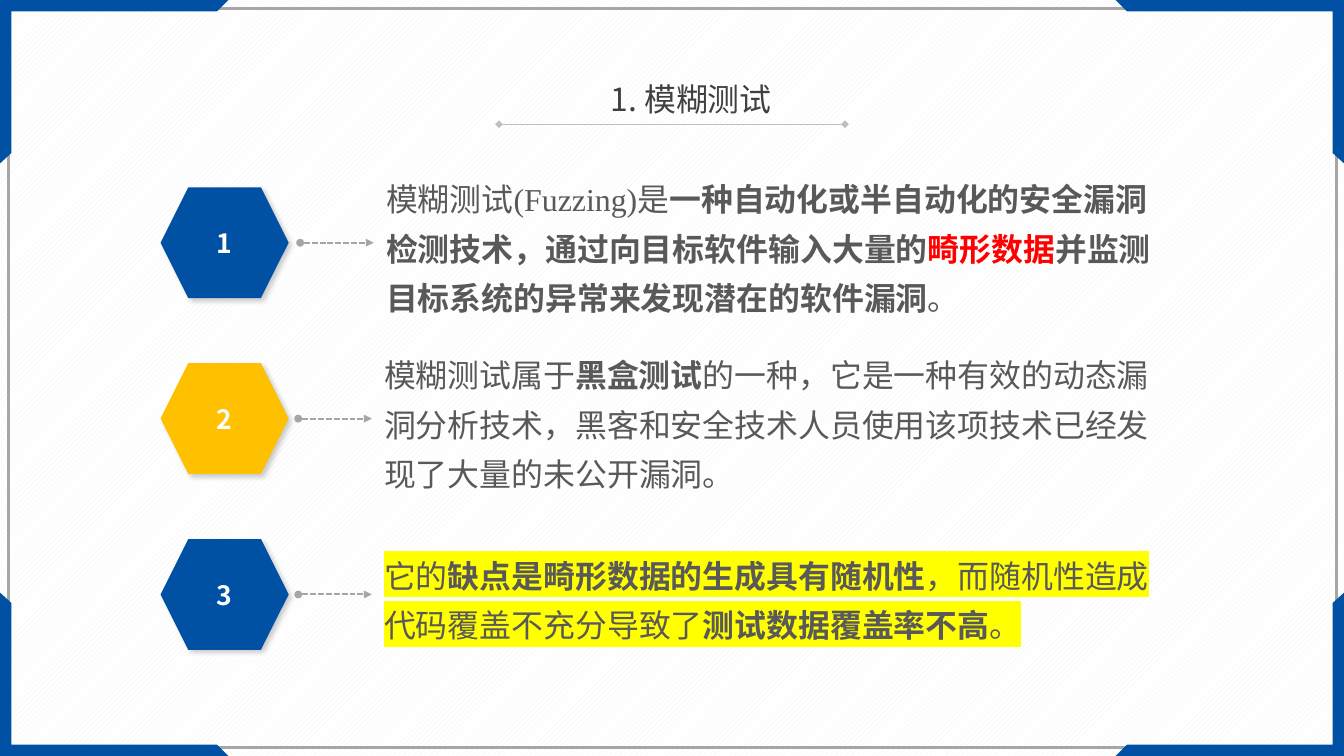
from lxml import etree
from pptx import Presentation
from pptx.dml.color import RGBColor
from pptx.enum.dml import MSO_LINE, MSO_PATTERN
from pptx.enum.shapes import MSO_CONNECTOR, MSO_SHAPE
from pptx.enum.text import MSO_ANCHOR, MSO_AUTO_SIZE, PP_ALIGN
from pptx.oxml import parse_xml
from pptx.oxml.ns import nsdecls, qn
from pptx.util import Inches, Pt

WIDTH, HEIGHT = 14.06, 7.91
SANS, SERIF = "Noto Sans CJK SC", "Times New Roman"
COLORS = {
    "blue": "0050A3", "gold": "FFC000", "red": "FF0000", "yellow": "FFFF00",
    "white": "FFFFFF", "stripe": "F2F2F2", "frame": "A6A6A6", "rule": "BFBFBF",
    "title": "404040", "body": "595959",
}
RGB = {name: RGBColor.from_string(value) for name, value in COLORS.items()}


def add_line(start, end, y, color, width, head, tail):
    line = slide.shapes.add_connector(
        MSO_CONNECTOR.STRAIGHT, Inches(start), Inches(y), Inches(end), Inches(y))
    line.line.color.rgb = RGB[color]
    line.line.width = Pt(width)
    properties = line._element.spPr
    outline = line.line._get_or_add_ln()
    etree.SubElement(outline, qn("a:headEnd"), type=head)
    etree.SubElement(outline, qn("a:tailEnd"), type=tail)
    etree.SubElement(properties, qn("a:effectLst"))
    return line


def add_span(para, text, size, color, font=SANS, bold=False, highlight=None):
    span = para.add_run()
    span.text = text
    span.font.size = Pt(size)
    span.font.bold = bold
    span.font.color.rgb = RGB[color]
    properties = span.font._element
    if highlight:
        mark = etree.SubElement(properties, qn("a:highlight"))
        etree.SubElement(mark, qn("a:srgbClr"), val=COLORS[highlight])
    span.font.name = font
    etree.SubElement(properties, qn("a:ea"), typeface=SANS)


deck = Presentation()
deck.slide_width, deck.slide_height = Inches(WIDTH), Inches(HEIGHT)
slide = deck.slides.add_slide(deck.slide_layouts[6])

# Striped background
background = slide.background.fill
background.patterned()
background.pattern = MSO_PATTERN.WIDE_UPWARD_DIAGONAL
background.fore_color.rgb = RGB["stripe"]
background.back_color.rgb = RGB["white"]

# Thin frame
frame = slide.shapes.add_shape(
    MSO_SHAPE.RECTANGLE, Inches(0.09), Inches(0.09), Inches(13.89), Inches(7.73))
frame.shadow.inherit = False
frame.fill.background()
frame.line.color.rgb = RGB["frame"]
frame.line.width = Pt(2)

# One corner bracket, mirrored into all four corners
bracket = [(0, 0), (2.39, 0), (2.27, 0.12), (0.12, 0.12), (0.12, 1.6), (0, 1.71)]
for flip_x in (False, True):
    for flip_y in (False, True):
        points = [(Inches(WIDTH - x if flip_x else x), Inches(HEIGHT - y if flip_y else y))
                  for x, y in bracket]
        builder = slide.shapes.build_freeform(*points[0])
        builder.add_line_segments(points[1:], close=True)
        corner = builder.convert_to_shape()
        corner.shadow.inherit = False
        corner.fill.solid()
        corner.fill.fore_color.rgb = RGB["blue"]
        corner.line.fill.background()

# Numbered rows: hexagon colour, text left, width and height, font, highlight, spans
rows = [
    ("blue", 3.94, 8.29, 1.62, SERIF, None, [
        ("模糊测试(Fuzzing)是", False, "body"),
        ("一种自动化或半自动化的安全漏洞检测技术，通过向目标软件输入大量的", True, "body"),
        ("畸形数据", True, "red"),
        ("并监测目标系统的异常来发现潜在的软件漏洞", True, "body"),
        ("。", False, "body")]),
    ("gold", 3.92, 8.47, 1.63, SANS, None, [
        ("模糊测试属于", False, "body"),
        ("黑盒测试", True, "body"),
        ("的一种，它是一种有效的动态漏洞分析技术，黑客和安全技术人员使用该项技术"
         "已经发现了大量的未公开漏洞。", False, "body")]),
    ("blue", 3.92, 8.3, 1.15, SERIF, "yellow", [
        ("它的", False, "body"),
        ("缺点是畸形数据的生成具有随机性", True, "body"),
        ("，而随机性造成代码覆盖不充分导致了", False, "body"),
        ("测试数据覆盖率不高", True, "body"),
        ("。", False, "body")]),
]
for index, (color, left, width, height, font, highlight, spans) in enumerate(rows):
    middle = 2.54 + 1.84 * index

    # Hexagon with its number and soft shadow
    hexagon = slide.shapes.add_shape(
        MSO_SHAPE.HEXAGON, Inches(1.68), Inches(middle - 0.58), Inches(1.34), Inches(1.16))
    hexagon.fill.solid()
    hexagon.fill.fore_color.rgb = RGB[color]
    hexagon.line.fill.background()
    hexagon.shadow.inherit = False
    hexagon._element.spPr.find(qn("a:effectLst")).append(parse_xml(
        f'<a:outerShdw {nsdecls("a")} blurRad="{Pt(4)}" dist="{Pt(3)}" dir="2700000" '
        'algn="tl" rotWithShape="0"><a:srgbClr val="000000"><a:alpha val="20000"/>'
        '</a:srgbClr></a:outerShdw>'))
    hexagon.text_frame.vertical_anchor = MSO_ANCHOR.MIDDLE
    para = hexagon.text_frame.paragraphs[0]
    para.alignment = PP_ALIGN.CENTER
    add_span(para, str(index + 1), 20, "white", bold=True)

    # Explanation
    box = slide.shapes.add_textbox(
        Inches(left), Inches(middle - height / 2), Inches(width), Inches(height))
    box.text_frame.word_wrap = True
    box.text_frame.auto_size = MSO_AUTO_SIZE.SHAPE_TO_FIT_TEXT
    box.text_frame.vertical_anchor = MSO_ANCHOR.MIDDLE
    para = box.text_frame.paragraphs[0]
    para.line_spacing = 1.3
    for text, bold, span_color in spans:
        add_span(para, text, 24, span_color, font, bold, highlight)

    # Dashed arrow
    arrow = add_line(left - 0.8, left - 0.03, middle, "frame", 1.5, "oval", "triangle")
    arrow.line.dash_style = MSO_LINE.SQUARE_DOT

# Title and its rule
add_line(5.22, 8.84, 1.3, "rule", 0.5, "diamond", "diamond")
title = slide.shapes.add_textbox(Inches(2.78), Inches(0.78), Inches(8.9), Inches(0.5))
title.text_frame.word_wrap = True
title.text_frame.auto_size = MSO_AUTO_SIZE.SHAPE_TO_FIT_TEXT
para = title.text_frame.paragraphs[0]
para.alignment = PP_ALIGN.CENTER
add_span(para, "1. 模糊测试", 24, "title")

deck.save("out.pptx")
